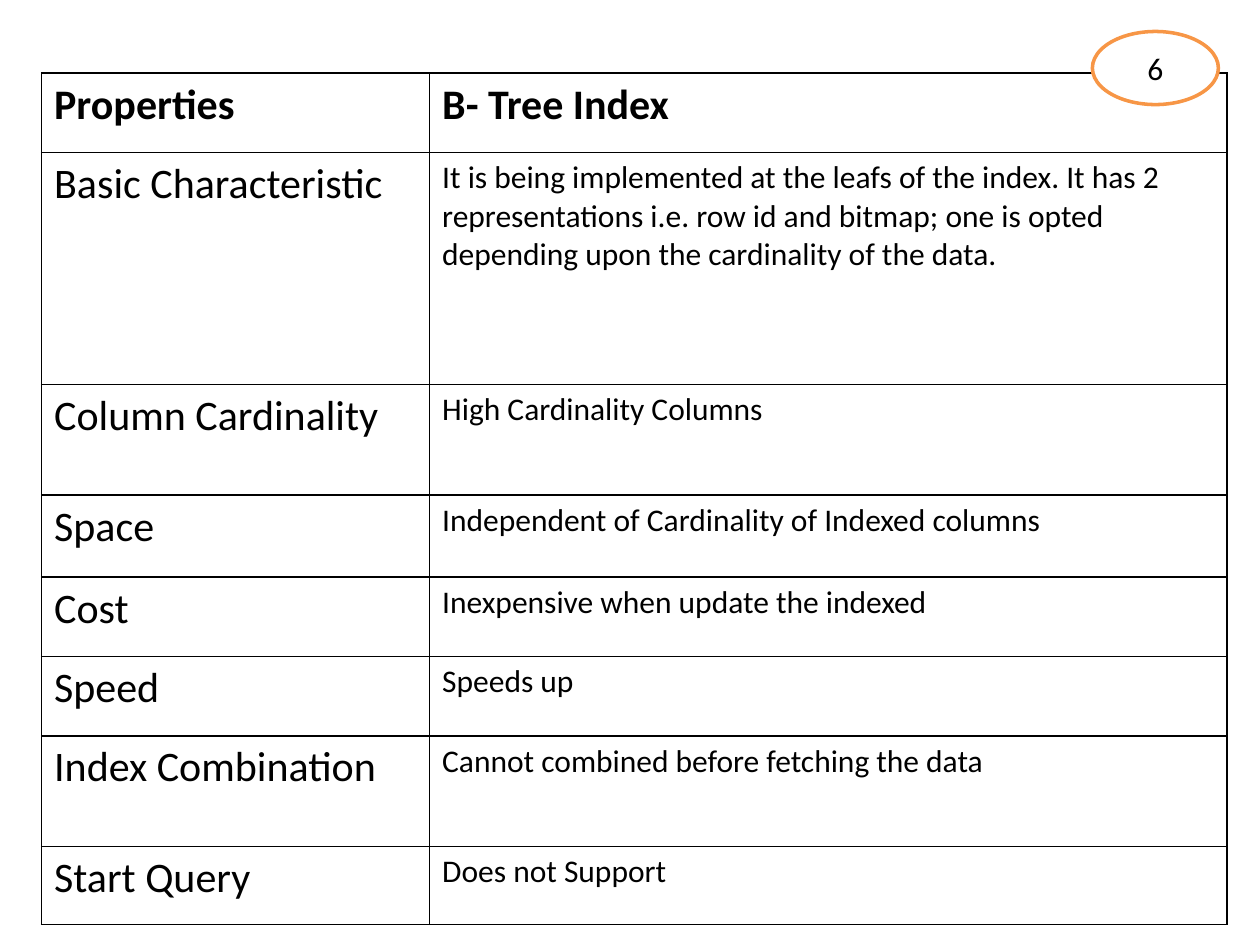
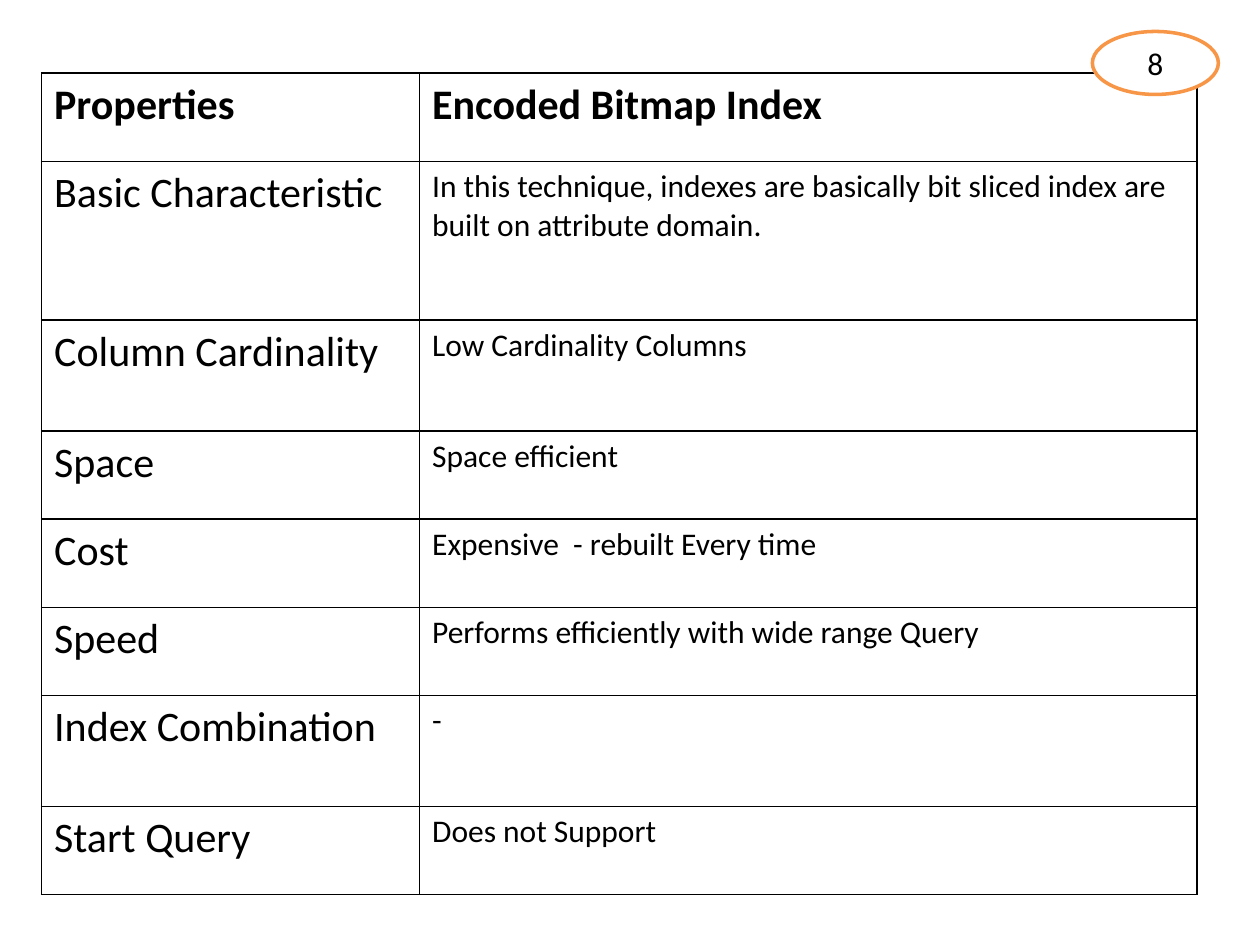
from lxml import etree
from pptx import Presentation
from pptx import util as u
from pptx.dml.color import RGBColor
from pptx.enum import shapes, text
from pptx.oxml.ns import qn

BLACK, WHITE, ORANGE = "000000", "FFFFFF", "F79646"
FONT = "Calibri"
LABEL_SIZE, VALUE_SIZE = 24, 18
TABLE_LEFT, TABLE_TOP = 0.33, 0.58
BADGE_LEFT, BADGE_TOP, BADGE_WIDTH = 8.67, 0.25, 1

properties = ["Properties", "Basic Characteristic", "Column Cardinality", "Space",
              "Cost", "Speed", "Index Combination", "Start Query"]

indexes = [
    dict(number="6", badge_height=0.58, columns=[3.08, 6.33],
         rows=[0.63, 1.84, 0.88, 0.65, 0.63, 0.63, 0.88, 0.62],
         values=["B- Tree Index",
                 "It is being implemented at the leafs of the index. It has 2\n"
                 "representations i.e. row id and bitmap; one is opted "
                 "depending upon the cardinality of the data.",
                 "High Cardinality Columns",
                 "Independent of Cardinality of Indexed columns",
                 "Inexpensive when update the indexed",
                 "Speeds up",
                 "Cannot combined before fetching the data",
                 "Does not Support"]),
    dict(number="8", badge_height=0.5, columns=[3, 6.17],
         rows=[0.7, 1.26, 0.88, 0.7, 0.7, 0.7, 0.88, 0.7],
         values=["Encoded Bitmap Index",
                 "In this technique, indexes are basically bit sliced index are\n"
                 "built on attribute domain.",
                 "Low Cardinality Columns",
                 "Space efficient",
                 "Expensive  - rebuilt Every time",
                 "Performs efficiently with wide range Query",
                 "-",
                 "Does not Support"]),
]


def color(hex_string):
    return RGBColor.from_string(hex_string)


def write(frame, words, size, bold=False):
    frame.text = words
    for paragraph in frame.paragraphs:
        for run in paragraph.runs:
            run.font.name = FONT
            run.font.size = u.Pt(size)
            run.font.bold = bold
            run.font.color.rgb = color(BLACK)


prs = Presentation()
prs.slide_width, prs.slide_height = u.Inches(10), u.Inches(7.5)

for index in indexes:
    slide = prs.slides.add_slide(prs.slide_layouts[6])

    comparison = slide.shapes.add_table(
        len(properties), 2, u.Inches(TABLE_LEFT), u.Inches(TABLE_TOP),
        u.Inches(sum(index["columns"])), u.Inches(sum(index["rows"]))).table
    for column, width in zip(comparison.columns, index["columns"]):
        column.width = u.Inches(width)
    for row, height in zip(comparison.rows, index["rows"]):
        row.height = u.Inches(height)

    for r, pair in enumerate(zip(properties, index["values"])):
        for c, words in enumerate(pair):
            cell = comparison.cell(r, c)
            heading = r == 0
            size = LABEL_SIZE if heading or c == 0 else VALUE_SIZE
            write(cell.text_frame, words, size, bold=heading)
            # Borders must come before the fill in the cell properties
            borders = cell._tc.get_or_add_tcPr()
            for side in ("a:lnL", "a:lnR", "a:lnT", "a:lnB"):
                line = etree.SubElement(borders, qn(side), w=str(u.Pt(1)))
                paint = etree.SubElement(line, qn("a:solidFill"))
                etree.SubElement(paint, qn("a:srgbClr"), val=BLACK)
            cell.fill.solid()
            cell.fill.fore_color.rgb = color(WHITE)

    badge = slide.shapes.add_shape(
        shapes.MSO_SHAPE.OVAL, u.Inches(BADGE_LEFT), u.Inches(BADGE_TOP),
        u.Inches(BADGE_WIDTH), u.Inches(index["badge_height"]))
    badge.shadow.inherit = False
    badge.fill.solid()
    badge.fill.fore_color.rgb = color(WHITE)
    badge.line.color.rgb = color(ORANGE)
    badge.line.width = u.Pt(2)
    write(badge.text_frame, index["number"], VALUE_SIZE)
    badge.text_frame.vertical_anchor = text.MSO_ANCHOR.MIDDLE
    badge.text_frame.paragraphs[0].alignment = text.PP_ALIGN.CENTER

prs.save("out.pptx")
